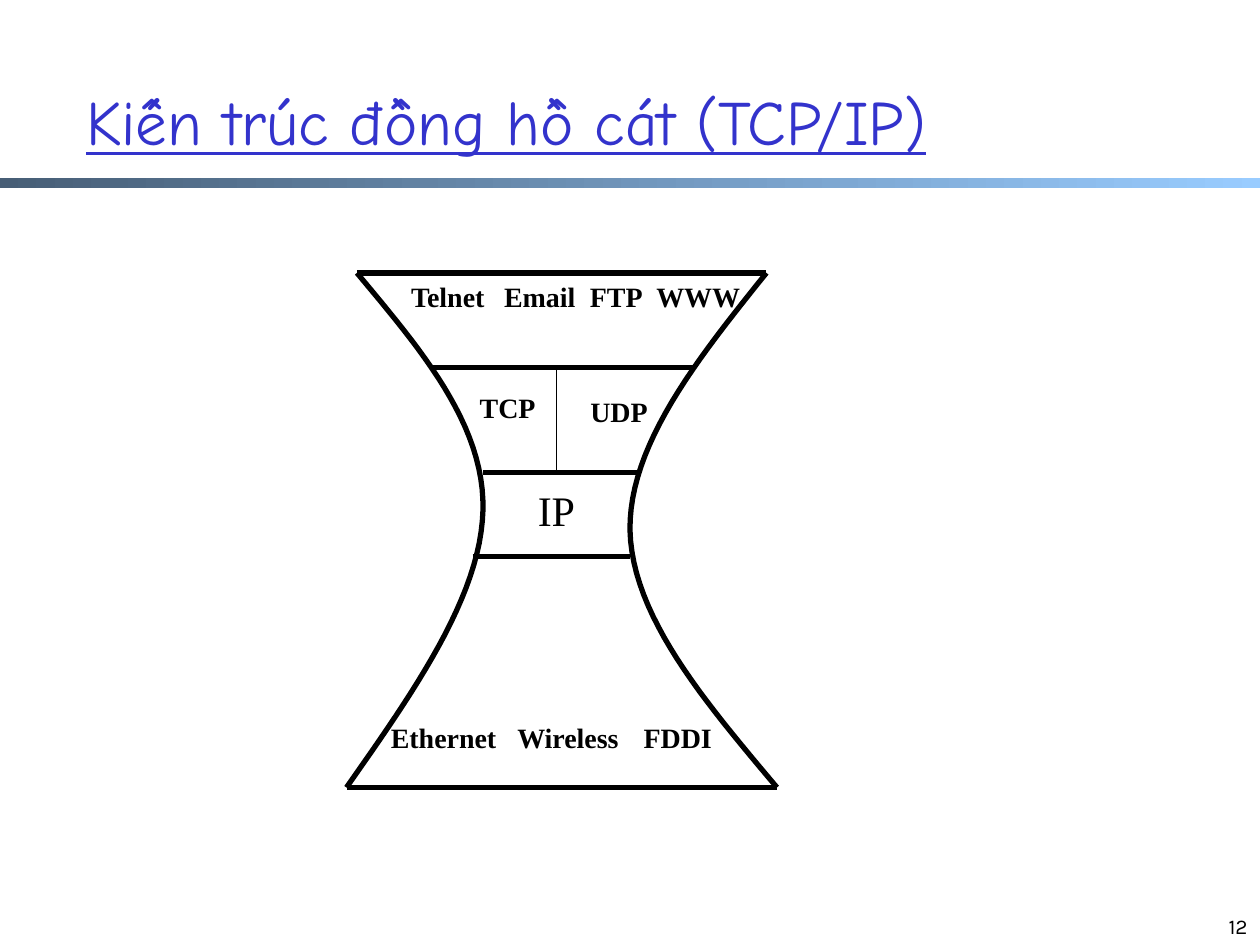
from typing import NamedTuple

from lxml.etree import SubElement
from pptx import Presentation
from pptx.dml.color import RGBColor
from pptx.enum.shapes import MSO_CONNECTOR, MSO_SHAPE
from pptx.enum.text import MSO_ANCHOR, MSO_AUTO_SIZE, PP_ALIGN
from pptx.oxml.ns import qn
from pptx.util import Inches, Pt

HUES = {"ink": "000000", "title": "3333CC", "dark": "475E76", "light": "99CCFF"}
SERIF = "Times New Roman"
STEPS = 24


class Label(NamedTuple):
    text: str
    col: float
    row: float
    wide: float
    high: float = 4.4
    size: int = 16
    bold: bool = True


class Rule(NamedTuple):
    col: float
    row: float
    to_col: float
    to_row: float
    width: int = 3


TOP, APPS, BASE, FLOOR = 26, 35, 45, 75
LABELS = [
    Label("IP", 50, 45.6, 6, 6, 24, False),
    Label("Ethernet", 36, 68, 12.5),
    Label("FDDI", 60.1, 68, 8.9),
    Label("Wireless", 48, 68, 12.2),
    Label("TCP", 44.5, 36.6, 7.7),
    Label("UDP", 55, 37, 7.9),
    Label("Telnet", 37.8, TOP, 9.7),
    Label("Email", 46.8, TOP, 9.2),
    Label("FTP", 55, TOP, 7.4),
    Label("WWW", 61.3, TOP, 10.4),
]
RULES = [
    Rule(34, TOP, 73, TOP),
    Rule(41, APPS, 66, APPS),
    Rule(46, BASE, 61, BASE),
    Rule(45, 53, 60, 53),
    Rule(33, FLOOR, 74, FLOOR),
    Rule(53, APPS, 53, BASE, 1),
]
SIDES = [
    [(34, TOP), (40, 33.2), (46.2, 40.4), (46, 48.6),
     (45.8, 56.8), (39.4, 65.9), (33, FLOOR)],
    [(73, TOP), (66.4, 34.2), (59.9, 42.4), (60, 50.5),
     (60.2, 58.7), (67.1, 66.8), (74, FLOOR)],
]


def cell(count: float) -> int:
    """Turn grid cells, twelve to the inch, into a length."""
    return Inches(count / 12)


def hue(name: str) -> RGBColor:
    """Look up a colour by name."""
    return RGBColor.from_string(HUES[name])


def style(item, values: dict) -> None:
    """Set every given attribute on the item."""
    for key, value in values.items():
        setattr(item, key, value)


def write(shape, text: str, frame: dict, align: PP_ALIGN, font: dict, tint: str) -> None:
    """Fill a shape with one formatted paragraph."""
    style(shape.text_frame, frame)
    para = shape.text_frame.paragraphs[0]
    para.alignment = align
    run = para.add_run()
    run.text = text
    style(run.font, font)
    run.font.color.rgb = hue(tint)


def stroke(shape, width: int) -> None:
    """Give a shape a plain black line."""
    shape.line.color.rgb = hue("ink")
    shape.line.width = Pt(width)


def draw_rule(slide, rule: Rule) -> None:
    """Draw one straight line without shadow."""
    ends = map(cell, rule[:4])
    line = slide.shapes.add_connector(MSO_CONNECTOR.STRAIGHT, *ends)
    stroke(line, rule.width)
    SubElement(line._element.spPr, qn("a:effectLst"))


def bend(pts: list, part: float) -> tuple:
    """Find the point at a share of a cubic curve."""
    rest = 1 - part
    mix = (rest**3, 3 * rest**2 * part, 3 * rest * part**2, part**3)
    return tuple(cell(sum(m * p[axis] for m, p in zip(mix, pts))) for axis in (0, 1))


def draw_side(slide, pts: list) -> None:
    """Draw one side of the hourglass as two joined curves."""
    spots = [bend(pts[i:i + 4], n / STEPS) for i in (0, 3) for n in range(1, STEPS + 1)]
    start = map(cell, pts[0])
    form = slide.shapes.build_freeform(*start)
    form.add_line_segments(spots, close=False)
    side = form.convert_to_shape()
    side.fill.background()
    side.shadow.inherit = False
    stroke(side, 3)


def draw_label(slide, label: Label) -> None:
    """Place one centred protocol name."""
    box = slide.shapes.add_textbox(*map(cell, label[1:5]))
    frame = {"word_wrap": False, "auto_size": MSO_AUTO_SIZE.SHAPE_TO_FIT_TEXT}
    font = {"name": SERIF, "size": Pt(label.size), "bold": label.bold}
    write(box, label.text, frame, PP_ALIGN.CENTER, font, "ink")


def draw_bar(slide, width: int) -> None:
    """Draw the shaded bar below the title."""
    bar = slide.shapes.add_shape(MSO_SHAPE.RECTANGLE, 0, Inches(1.41), width, Inches(0.08))
    bar.shadow.inherit = False
    bar.line.fill.background()
    bar.fill.gradient()
    bar.fill.gradient_angle = 0
    for stop, name, spot in zip(bar.fill.gradient_stops, ("dark", "light"), (0, 1)):
        stop.color.rgb = hue(name)
        stop.position = spot


def main() -> None:
    """Build and save the slide."""
    deck = Presentation()
    style(deck, {"slide_width": Inches(10), "slide_height": Inches(7.5)})
    slide = deck.slides.add_slide(deck.slide_layouts[5])
    draw_bar(slide, deck.slide_width)

    title = slide.shapes.title
    style(title, {"left": cell(7), "top": cell(5), "width": cell(102), "height": cell(13)})
    frame = {"word_wrap": True, "auto_size": MSO_AUTO_SIZE.NONE,
             "vertical_anchor": MSO_ANCHOR.MIDDLE}
    font = {"name": "Comic Neue", "size": Pt(36), "underline": True}
    write(title, "Kiến trúc đồng hồ cát (TCP/IP)", frame, PP_ALIGN.LEFT, font, "title")

    page = slide.shapes.add_textbox(*map(cell, (92, 84, 28, 6)))
    frame["vertical_anchor"] = MSO_ANCHOR.BOTTOM
    write(page, "12", frame, PP_ALIGN.RIGHT, {"name": "Karla", "size": Pt(12)}, "ink")

    for pts in SIDES:
        draw_side(slide, pts)
    for rule in RULES:
        draw_rule(slide, rule)
    for label in LABELS:
        draw_label(slide, label)
    deck.save("out.pptx")


if __name__ == "__main__":
    main()
